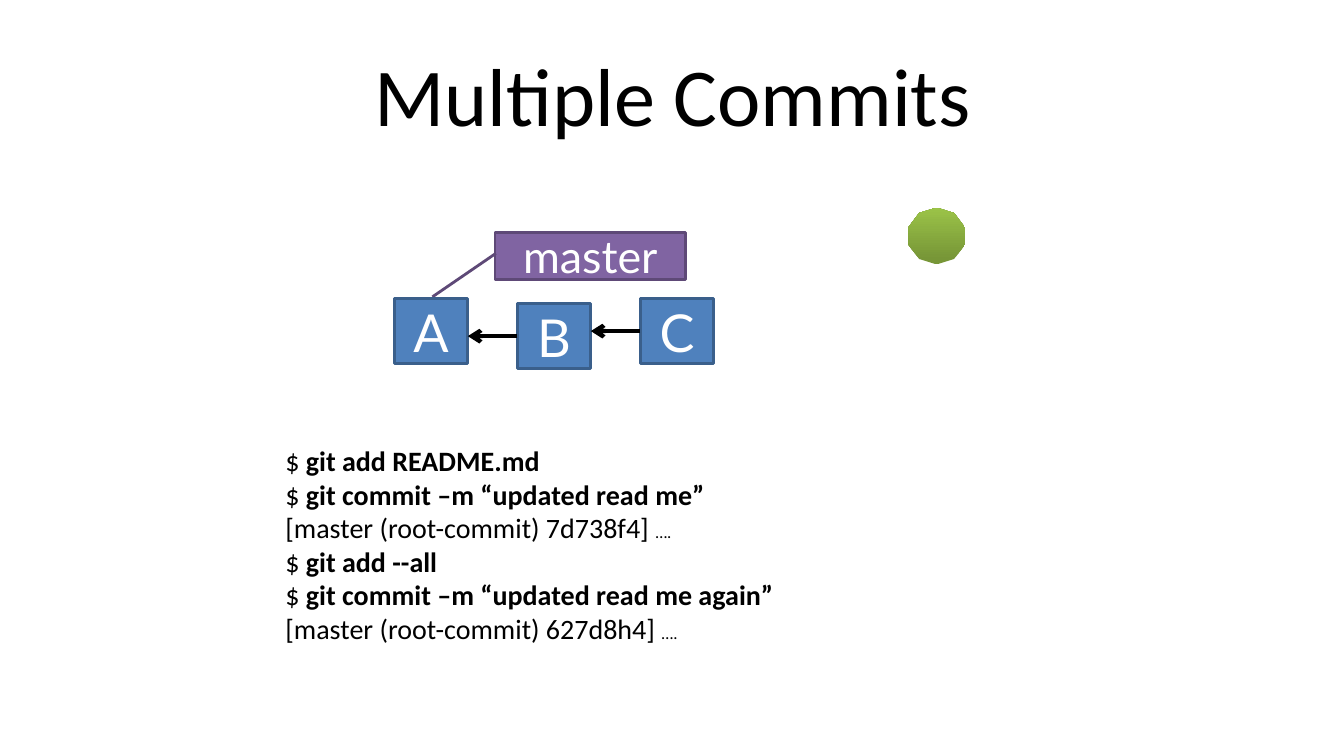
import pptx
import pptx.util
import pptx.dml.color
import pptx.enum.shapes
import pptx.enum.text
import pptx.oxml.ns
import lxml.etree

Inches, Pt = pptx.util.Inches, pptx.util.Pt
RGBColor = pptx.dml.color.RGBColor
SHAPE = pptx.enum.shapes.MSO_SHAPE
ANCHOR = pptx.enum.text.MSO_ANCHOR
ALIGN = pptx.enum.text.PP_ALIGN
qn = pptx.oxml.ns.qn

BLACK = RGBColor(0, 0, 0)
WHITE = RGBColor(255, 255, 255)
BLUE = RGBColor(0x4F, 0x81, 0xBD)
BLUE_EDGE = RGBColor(0x3A, 0x5F, 0x8B)
PURPLE = RGBColor(0x80, 0x64, 0xA2)
PURPLE_EDGE = RGBColor(0x5E, 0x49, 0x77)
GREEN_DARK = RGBColor(0x77, 0x96, 0x37)
GREEN_LIGHT = RGBColor(0x9B, 0xC3, 0x48)

COMMANDS = [
    ("$ ", "git add README.md", ""),
    ("$ ", "git commit –m “updated read me”", ""),
    ("[master (root-commit) 7d738f4] ", "", "…."),
    ("$ ", "git add --all", ""),
    ("$ ", "git commit –m “updated read me again”", ""),
    ("[master (root-commit) 627d8h4] ", "", "…."),
]


def place(sp, box):
    sp.left, sp.top, sp.width, sp.height = [Inches(v) for v in box]


def style_font(font, name, size, color):
    font.name = name
    font.size = Pt(size)
    font.color.rgb = color


def add_title(s, box):
    sp = s.shapes.title
    place(sp, box)
    tf = sp.text_frame
    tf.text = "Multiple Commits"
    tf.auto_size = pptx.enum.text.MSO_AUTO_SIZE.NONE
    tf.vertical_anchor = ANCHOR.MIDDLE
    p = tf.paragraphs[0]
    p.alignment = ALIGN.CENTER
    style_font(p.font, "Calibri", 58.7, BLACK)


def add_commands(s, box):
    sp = s.placeholders[1]
    place(sp, box)
    tf = sp.text_frame
    tf.auto_size = pptx.enum.text.MSO_AUTO_SIZE.NONE
    tf.vertical_anchor = ANCHOR.TOP
    for i, (plain, bold, small) in enumerate(COMMANDS):
        p = tf.paragraphs[0] if i == 0 else tf.add_paragraph()
        p.space_before = Pt(0)
        style_font(p.font, "Calibri", 20, BLACK)
        pPr = p._p.get_or_add_pPr()
        pPr.set("marL", "0")
        pPr.set("indent", "0")
        pPr.insert_element_before(lxml.etree.Element(qn("a:buNone")), "a:tabLst", "a:defRPr", "a:extLst")
        p.add_run().text = plain
        if bold:
            r = p.add_run()
            r.text = bold
            r.font.bold = True
        if small:
            r = p.add_run()
            r.text = small
            r.font.size = Pt(12)


def add_label(s, kind, box, text, size, fill, edge):
    sp = s.shapes.add_shape(kind, *[Inches(v) for v in box])
    sp.shadow.inherit = False
    sp.fill.solid()
    sp.fill.fore_color.rgb = fill
    sp.line.color.rgb = edge
    sp.line.width = Pt(2)
    tf = sp.text_frame
    tf.word_wrap = True
    tf.vertical_anchor = ANCHOR.MIDDLE
    tf.margin_left = tf.margin_right = Inches(0.13)
    tf.margin_top = tf.margin_bottom = Inches(0.07)
    p = tf.paragraphs[0]
    p.text = text
    p.alignment = ALIGN.CENTER
    style_font(p.font, "Lato", size, WHITE)
    return sp


def add_arrow(s, x1, x2, y):
    line = s.shapes.add_connector(
        pptx.enum.shapes.MSO_CONNECTOR.STRAIGHT, Inches(x1), Inches(y), Inches(x2), Inches(y))
    line.line.color.rgb = BLACK
    line.line.width = Pt(3)
    lxml.etree.SubElement(line.line._get_or_add_ln(), qn("a:tailEnd"), type="arrow")
    lxml.etree.SubElement(line._element.spPr, qn("a:effectLst"))


def add_history(s, box):
    left, top, width, height = box
    tag_box = (left + 1, top, 1.89, 0.46)
    tag = add_label(s, SHAPE.LINE_CALLOUT_1, tag_box, "master", 32, PURPLE, PURPLE_EDGE)
    for i, value in enumerate((0.446, 0.004, 1.383, -0.329)):
        tag.adjustments[i] = value

    commit_w, commit_h = 0.73, 0.65
    step = (width - commit_w) / 2
    for i, (name, drop) in enumerate((("A", 0), ("B", 0.05), ("C", 0))):
        x, y = left + i * step, top + height - commit_h - 0.05 + drop
        add_label(s, SHAPE.RECTANGLE, (x, y, commit_w, commit_h), name, 37.3, BLUE, BLUE_EDGE)
        if i:
            add_arrow(s, x, x - step + commit_w, y + commit_h / 2)


def add_badge(s, box):
    sp = s.shapes.add_shape(SHAPE.STAR_5_POINT, *[Inches(v) for v in box])
    sp.shadow.inherit = False
    sp.adjustments[0] = 0.5
    sp.fill.gradient()
    sp.fill.gradient_angle = 90
    for stop, color in zip(sp.fill.gradient_stops, (GREEN_DARK, GREEN_LIGHT)):
        stop.color.rgb = color
    sp.line.fill.background()


def main():
    prs = pptx.Presentation()
    prs.slide_width, prs.slide_height = Inches(13.33), Inches(7.5)
    s = prs.slides.add_slide(prs.slide_layouts[1])
    add_title(s, (0.67, 0.3, 12, 1.25))
    add_commands(s, (2.73, 4.35, 12, 1.95))
    add_history(s, (3.91, 2.31, 3.17, 1.35))
    add_badge(s, (9.01, 2.06, 0.56, 0.51))
    prs.save("out.pptx")


if __name__ == "__main__":
    main()
